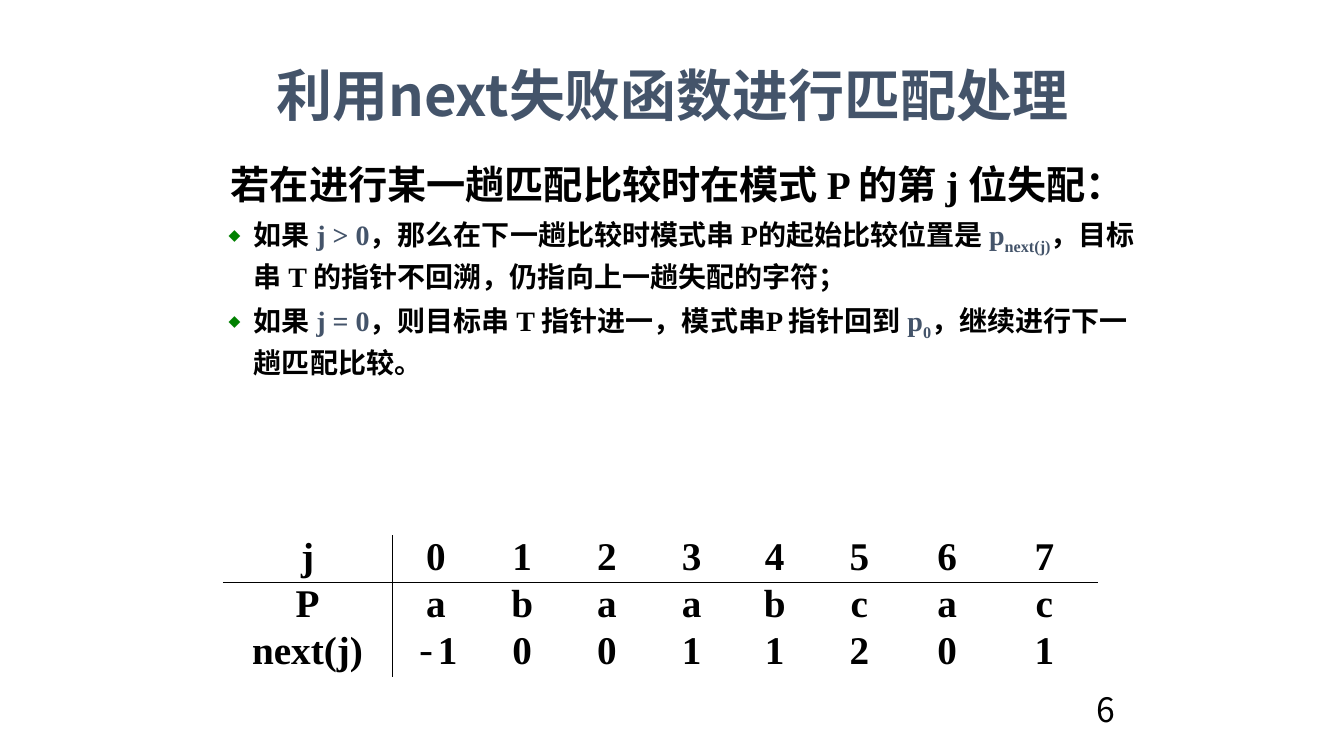
from pptx import Presentation
from pptx.dml.color import RGBColor
from pptx.enum.text import MSO_ANCHOR, PP_ALIGN
from pptx.oxml.ns import qn
from pptx.util import Inches, Pt
from lxml.etree import SubElement

BLACK = RGBColor(0x00, 0x00, 0x00)
SLATE = RGBColor(0x44, 0x54, 0x6A)
GREEN = RGBColor(0x00, 0x80, 0x00)
SANS = "Noto Sans CJK JP"
SERIF = "Times New Roman"
MONO = "Courier New"

HEADING = "若在进行某一趟匹配比较时在模式 P 的第 j 位失配："
CASES = [
    [("如果 ", BLACK, 0), ("j > 0", SLATE, 0),
     ("，那么在下一趟比较时模式串 P的起始比较位置是 ", BLACK, 0),
     ("p", SLATE, 0), ("next(j)", SLATE, -25),
     ("，目标串 T 的指针不回溯，仍指向上一趟失配的字符；", BLACK, 0)],
    [("如果 ", BLACK, 0), ("j = 0", SLATE, 0),
     ("，则目标串 T 指针进一，模式串P 指针回到 ", BLACK, 0),
     ("p", SLATE, 0), ("0", SLATE, -25),
     ("，继续进行下一趟匹配比较。", BLACK, 0)],
]
NEXT_ROWS = [
    ["j", "0", "1", "2", "3", "4", "5", "6", "7"],
    ["P", "a", "b", "a", "a", "b", "c", "a", "c"],
    ["next(j)", "-1", "0", "0", "1", "1", "2", "0", "1"],
]
COLUMN_WIDTHS = [1.68, 0.87, 0.84, 0.84, 0.84, 0.81, 0.87, 0.87, 1.06]
ROW_HEIGHT = 0.47


def add_box(page, left, top, width, height, anchor):
    box = page.shapes.add_textbox(Inches(left), Inches(top), Inches(width), Inches(height))
    box.text_frame.word_wrap = True
    box.text_frame.vertical_anchor = anchor
    return box.text_frame


def set_font(para, name, size, color=BLACK, bold=True):
    font = para.font
    font.name, font.size, font.bold = name, Pt(size), bold
    font.color.rgb = color


def add_span(para, text, color=None, baseline=0):
    span = para.add_run()
    span.text = text
    if color is not None:
        span.font.color.rgb = color
    properties = span._r.get_or_add_rPr()
    SubElement(properties, qn("a:ea"), typeface=SANS)
    if baseline:
        properties.set("baseline", str(baseline * 1000))
    return span


def set_indent(para, left, first):
    properties = para._p.get_or_add_pPr()
    properties.set("marL", str(Inches(left)))
    properties.set("indent", str(Inches(first)))
    return properties


def add_line(frame, text, name, size, align, color=BLACK, bold=True):
    para = frame.paragraphs[0]
    para.alignment = align
    set_font(para, name, size, color, bold)
    add_span(para, text)
    return para


def add_case(frame, spans):
    para = frame.add_paragraph()
    para.level = 1
    para.line_spacing = 1.1
    para.space_before = Pt(5)
    properties = set_indent(para, 0.75, -0.25)
    bullet_color = SubElement(properties, qn("a:buClr"))
    SubElement(bullet_color, qn("a:srgbClr"), val=str(GREEN))
    SubElement(properties, qn("a:buSzPct"), val="55000")
    SubElement(properties, qn("a:buChar"), char="◆")
    set_font(para, SERIF, 20)
    for text, color, baseline in spans:
        add_span(para, text, color, baseline)


def set_borders(cell, lined):
    properties = cell._tc.get_or_add_tcPr()
    for side in "LRTB":
        line = SubElement(properties, qn(f"a:ln{side}"), w=str(Pt(1)))
        if side in lined:
            fill = SubElement(line, qn("a:solidFill"))
            SubElement(fill, qn("a:srgbClr"), val=str(BLACK))
        else:
            SubElement(line, qn("a:noFill"))


def fill_cell(cell, text, lined):
    set_borders(cell, lined)
    cell.fill.background()
    cell.margin_left = cell.margin_right = Inches(0.1)
    cell.margin_top = cell.margin_bottom = 0
    para = cell.text_frame.paragraphs[0]
    para.alignment = PP_ALIGN.CENTER
    set_font(para, SERIF, 28)
    if text.startswith("-"):
        sign = add_span(para, "-")
        sign.font.name, sign.font.bold = MONO, False
        text = text[1:]
    add_span(para, text)


def add_next_table(page):
    frame = page.shapes.add_table(
        len(NEXT_ROWS), len(COLUMN_WIDTHS), Inches(2.21), Inches(5.31),
        Inches(sum(COLUMN_WIDTHS)), Inches(ROW_HEIGHT * len(NEXT_ROWS)))
    table = frame.table
    table.first_row = table.horz_banding = False
    for column, width in zip(table.columns, COLUMN_WIDTHS):
        column.width = Inches(width)
    for row, values in enumerate(NEXT_ROWS):
        table.rows[row].height = Inches(ROW_HEIGHT)
        for column, text in enumerate(values):
            lined = {0: "R", 1: "L"}.get(column, "") + {0: "B", 1: "T"}.get(row, "")
            fill_cell(table.cell(row, column), text, lined)


def main():
    deck = Presentation()
    deck.slide_width, deck.slide_height = Inches(13.33), Inches(7.5)
    page = deck.slides.add_slide(deck.slide_layouts[6])

    number = add_box(page, 8.83, 6.78, 2.33, 0.5, MSO_ANCHOR.BOTTOM)
    add_line(number, "6", SANS, 24, PP_ALIGN.RIGHT, bold=False)

    title = add_box(page, 2.17, 0.23, 9, 1.5, MSO_ANCHOR.MIDDLE)
    para = add_line(title, "利用next失败函数进行匹配处理", SANS, 40, PP_ALIGN.CENTER, SLATE)
    para.line_spacing = 0.9

    body = add_box(page, 1.67, 1.49, 9.69, 3.89, MSO_ANCHOR.TOP)
    para = add_line(body, HEADING, SERIF, 28, PP_ALIGN.LEFT)
    para.line_spacing = 1.1
    para.space_before = Pt(10)
    set_indent(para, 0.52, 0)
    for spans in CASES:
        add_case(body, spans)

    add_next_table(page)
    deck.save("out.pptx")


main()
